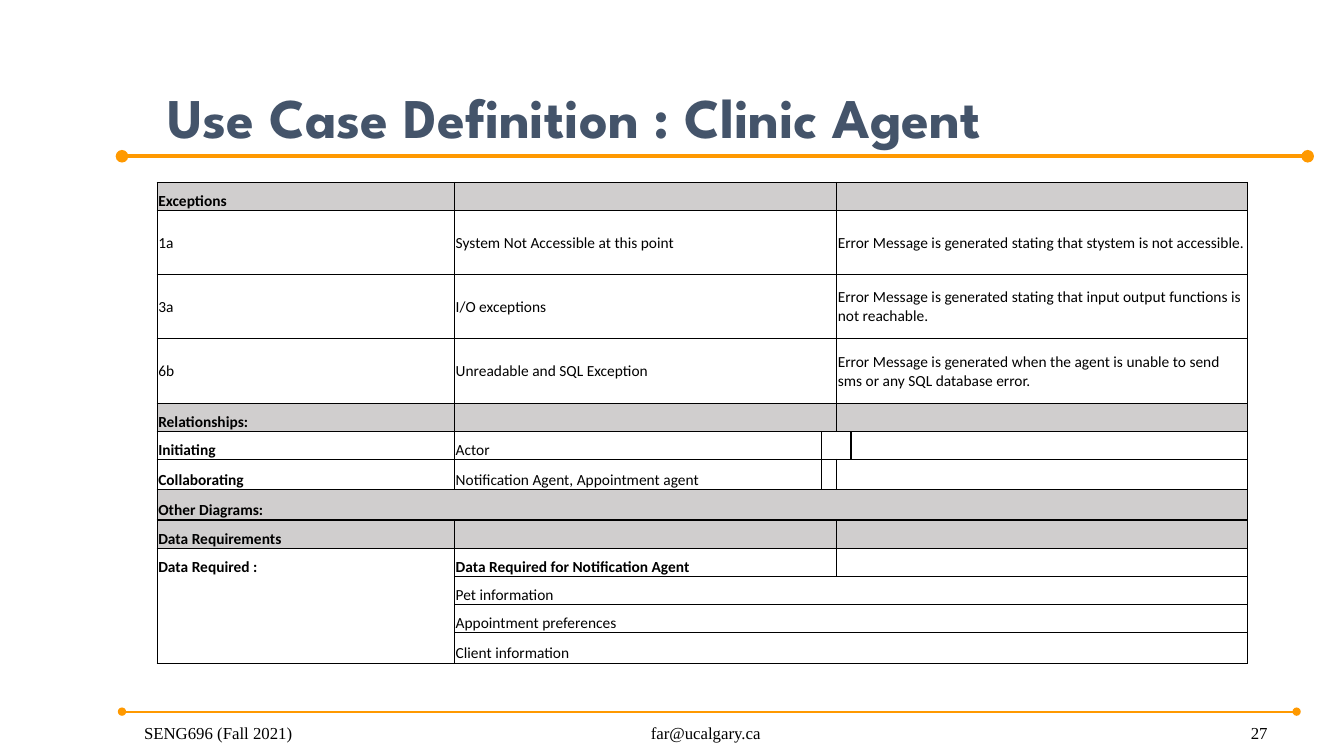
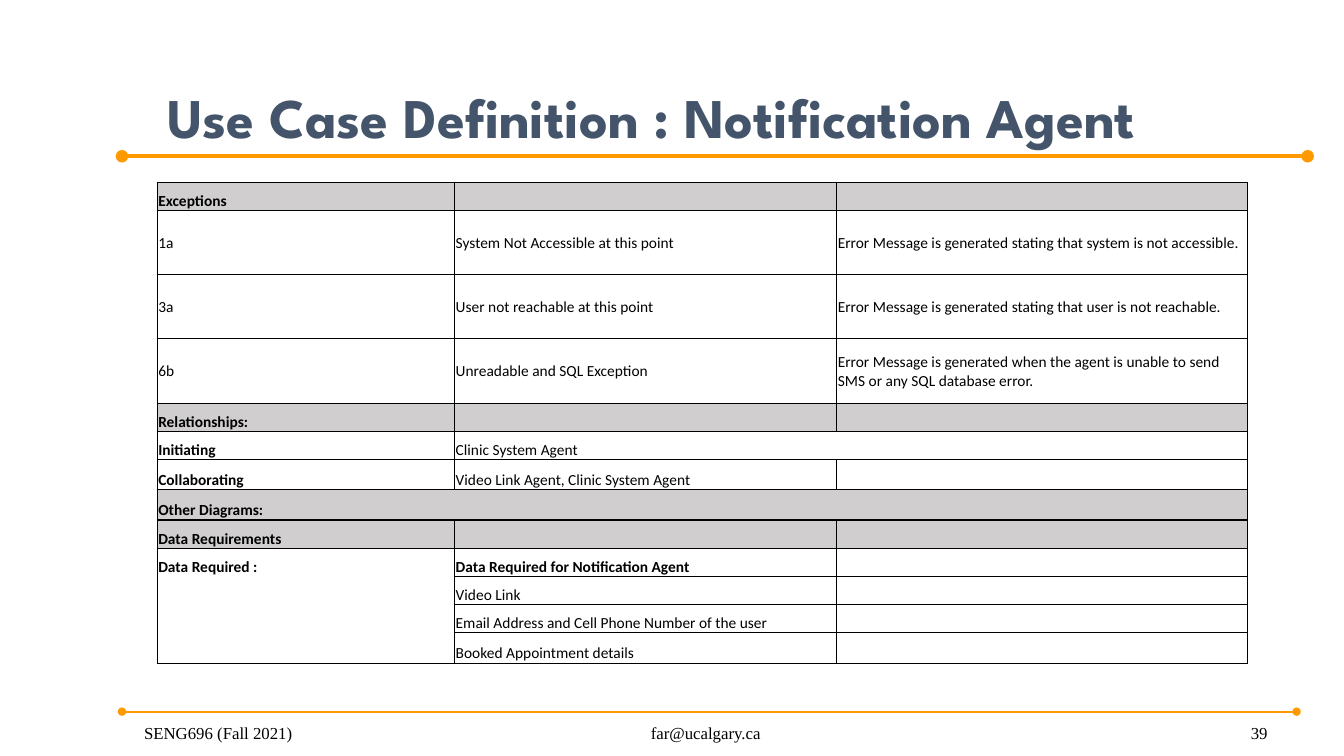
from dataclasses import dataclass
from typing import Optional

from lxml.etree import SubElement
from pptx import Presentation
from pptx.dml.color import RGBColor
from pptx.enum.shapes import MSO_CONNECTOR as Connector
from pptx.enum.text import MSO_ANCHOR as Anchor, PP_ALIGN as Align
from pptx.oxml.ns import qn
from pptx.slide import Slide
from pptx.table import _Cell as TableCell
from pptx.util import Inches, Pt


@dataclass(frozen=True)
class Theme:
    title_color: str = "44546A"
    accent: str = "FF9900"
    ink: str = "000000"
    band: str = "D0CECE"
    title_font: str = "League Spartan"
    table_font: str = "Calibri"
    footer_font: str = "Times New Roman"
    title_size: float = 40
    table_size: float = 11
    footer_size: float = 12
    border: float = 1
    hairline: float = 0.5


@dataclass(frozen=True)
class Label:
    text: str
    left: float
    top: float
    width: float
    height: float
    font: str
    size: float
    color: str
    bold: bool = False
    align: Align = Align.LEFT


@dataclass(frozen=True)
class Rule:
    top: float
    right: float
    weight: float


@dataclass(frozen=True)
class Entry:
    text: str = ""
    span: int = 1
    bold: bool = False
    open_top: bool = False
    open_bottom: bool = False


@dataclass(frozen=True)
class Row:
    height: float
    entries: list[Entry]
    banded: bool = False
    anchor: Anchor = Anchor.BOTTOM
    top: float = 1
    bottom: float = 1


@dataclass(frozen=True)
class UseCase:
    agent: str
    number: int
    columns: list[float]
    exceptions: list[tuple[str, str, str]]
    initiating: list[Entry]
    collaborating: list[Entry]
    data: list[str]
    data_joined: bool
    relation_line: float


THEME = Theme()
RULE_LEFT = 1.21
RULES = [Rule(1.55, 12.97, 3), Rule(7.06, 12.86, 1.5)]
TABLE_LEFT, TABLE_TOP = 1.56, 1.81
SHORT, MEDIUM, TALL = 0.28, 0.3, 0.64

USE_CASES = [
    UseCase(
        agent="Clinic Agent",
        number=27,
        columns=[2.95, 3.64, 0.15, 0.14, 3.93],
        exceptions=[
            ("1a", "System Not Accessible at this point",
             "Error Message is generated stating that stystem is not accessible."),
            ("3a", "I/O exceptions",
             "Error Message is generated stating that input output functions is not reachable."),
            ("6b", "Unreadable and SQL Exception",
             "Error Message is generated when the agent is unable to send sms or any SQL database error."),
        ],
        initiating=[Entry("Actor"), Entry(span=2), Entry()],
        collaborating=[Entry("Notification Agent, Appointment agent"), Entry(), Entry(span=2)],
        data=["Pet information", "Appointment preferences", "Client information"],
        data_joined=True,
        relation_line=THEME.hairline,
    ),
    UseCase(
        agent="Notification Agent",
        number=39,
        columns=[2.95, 3.79, 4.07],
        exceptions=[
            ("1a", "System Not Accessible at this point",
             "Error Message is generated stating that system is not accessible."),
            ("3a", "User not reachable at this point",
             "Error Message is generated stating that user is not reachable."),
            ("6b", "Unreadable and SQL Exception",
             "Error Message is generated when the agent is unable to send SMS or any SQL database error."),
        ],
        initiating=[Entry("Clinic System Agent", span=2)],
        collaborating=[Entry("Video Link Agent, Clinic System Agent"), Entry()],
        data=["Video Link", "Email Address and Cell Phone Number of the user",
              "Booked Appointment details"],
        data_joined=False,
        relation_line=THEME.border,
    ),
]


def build_rows(case: UseCase) -> list[Row]:
    count = len(case.columns)
    half = (count - 1) // 2

    def heading(text: str, bottom: float = THEME.border) -> Row:
        entries = [Entry(text, bold=True), Entry(span=half), Entry(span=half)]
        return Row(SHORT, entries, banded=True, bottom=bottom)

    rows = [heading("Exceptions")]
    for index, (code, cause, message) in enumerate(case.exceptions):
        entries = [Entry(code), Entry(cause, half), Entry(message, half)]
        rows.append(Row(TALL if index else 0.63, entries, anchor=Anchor.MIDDLE))
    rows += [
        heading("Relationships:", case.relation_line),
        Row(SHORT, [Entry("Initiating", bold=True), *case.initiating], top=case.relation_line),
        Row(MEDIUM, [Entry("Collaborating", bold=True), *case.collaborating]),
        Row(MEDIUM, [Entry("Other Diagrams:", count, bold=True)], banded=True),
        heading("Data Requirements"),
        Row(SHORT, [
            Entry("Data Required :", bold=True, open_bottom=True),
            Entry("Data Required for Notification Agent", half, bold=True),
            Entry(span=half),
        ]),
    ]
    for index, text in enumerate(case.data):
        last = index == len(case.data) - 1
        label = Entry(open_top=True, open_bottom=not last)
        values = [Entry(text, count - 1)] if case.data_joined else [Entry(text), Entry()]
        rows.append(Row(MEDIUM if last else SHORT, [label, *values]))
    return rows


def add_label(page: Slide, label: Label) -> None:
    box = page.shapes.add_textbox(
        Inches(label.left), Inches(label.top), Inches(label.width), Inches(label.height))
    frame = box.text_frame
    frame.word_wrap = True
    frame.vertical_anchor = Anchor.BOTTOM
    frame.text = label.text
    para = frame.paragraphs[0]
    para.alignment = label.align
    font = para.runs[0].font
    font.name, font.size, font.bold = label.font, Pt(label.size), label.bold
    font.color.rgb = RGBColor.from_string(label.color)


def add_rule(page: Slide, rule: Rule) -> None:
    line = page.shapes.add_connector(
        Connector.STRAIGHT, Inches(RULE_LEFT), Inches(rule.top),
        Inches(rule.right), Inches(rule.top))
    line.line.color.rgb = RGBColor.from_string(THEME.accent)
    line.line.width = Pt(rule.weight)
    outline = line.line._get_or_add_ln()
    for end in ("a:headEnd", "a:tailEnd"):
        SubElement(outline, qn(end), type="oval")
    SubElement(line._element.spPr, qn("a:effectLst"))


def set_borders(cell: TableCell, weights: dict[str, Optional[float]]) -> None:
    properties = cell._tc.get_or_add_tcPr()
    for index, (side, weight) in enumerate(weights.items()):
        border = SubElement(properties, qn(f"a:ln{side}"))
        properties.insert(index, border)
        if weight is None:
            SubElement(border, qn("a:noFill"))
        else:
            border.set("w", str(Pt(weight)))
            fill = SubElement(border, qn("a:solidFill"))
            SubElement(fill, qn("a:srgbClr"), val=THEME.ink)


def format_cell(cell: TableCell, row: Row, entry: Entry, offset: int) -> None:
    cell.margin_left = cell.margin_right = cell.margin_top = Inches(0.01)
    cell.margin_bottom = Inches(0)
    cell.vertical_anchor = row.anchor
    if row.banded:
        cell.fill.solid()
        cell.fill.fore_color.rgb = RGBColor.from_string(THEME.band)
    else:
        cell.fill.background()
    set_borders(cell, {
        "L": None if offset else THEME.border,
        "R": THEME.border if offset in (0, entry.span - 1) else None,
        "T": None if entry.open_top else row.top,
        "B": None if entry.open_bottom else row.bottom,
    })
    para = cell.text_frame.paragraphs[0]
    if entry.text and offset == 0:
        para.text = entry.text
        font = para.runs[0].font
        font.name, font.size, font.bold = THEME.table_font, Pt(THEME.table_size), entry.bold
        font.color.rgb = RGBColor.from_string(THEME.ink)
    else:
        SubElement(para._p, qn("a:endParaRPr"), sz=str(int(THEME.table_size * 100)))


def add_use_case_table(page: Slide, case: UseCase) -> None:
    rows = build_rows(case)
    table = page.shapes.add_table(
        len(rows), len(case.columns), Inches(TABLE_LEFT), Inches(TABLE_TOP),
        Inches(sum(case.columns)), Inches(sum(row.height for row in rows))).table
    table.first_row = table.horz_banding = False
    for column, width in zip(table.columns, case.columns):
        column.width = Inches(width)
    for row_index, row in enumerate(rows):
        table.rows[row_index].height = Inches(row.height)
        start = 0
        for entry in row.entries:
            for offset in range(entry.span):
                format_cell(table.cell(row_index, start + offset), row, entry, offset)
            end = start + entry.span
            if entry.span > 1:
                table.cell(row_index, start).merge(table.cell(row_index, end - 1))
            start = end


def add_frame(page: Slide, case: UseCase) -> None:
    for rule in RULES:
        add_rule(page, rule)
    add_label(page, Label(
        f"Use Case Definition : {case.agent}", 1.56, 0.28, 11.49, 1.25,
        THEME.title_font, THEME.title_size, THEME.title_color, bold=True))
    footers = [
        ("SENG696 (Fall 2021)", 1.33, 2.78, Align.LEFT),
        ("far@ucalgary.ca", 4.89, 4.22, Align.CENTER),
        (str(case.number), 9.89, 2.78, Align.RIGHT),
    ]
    for text, left, width, align in footers:
        add_label(page, Label(
            text, left, 6.98, width, 0.44,
            THEME.footer_font, THEME.footer_size, THEME.ink, align=align))


def main() -> None:
    deck = Presentation()
    deck.slide_width, deck.slide_height = Inches(13.33), Inches(7.5)
    for case in USE_CASES:
        page = deck.slides.add_slide(deck.slide_layouts[6])
        add_frame(page, case)
        add_use_case_table(page, case)
    deck.save("out.pptx")


if __name__ == "__main__":
    main()
